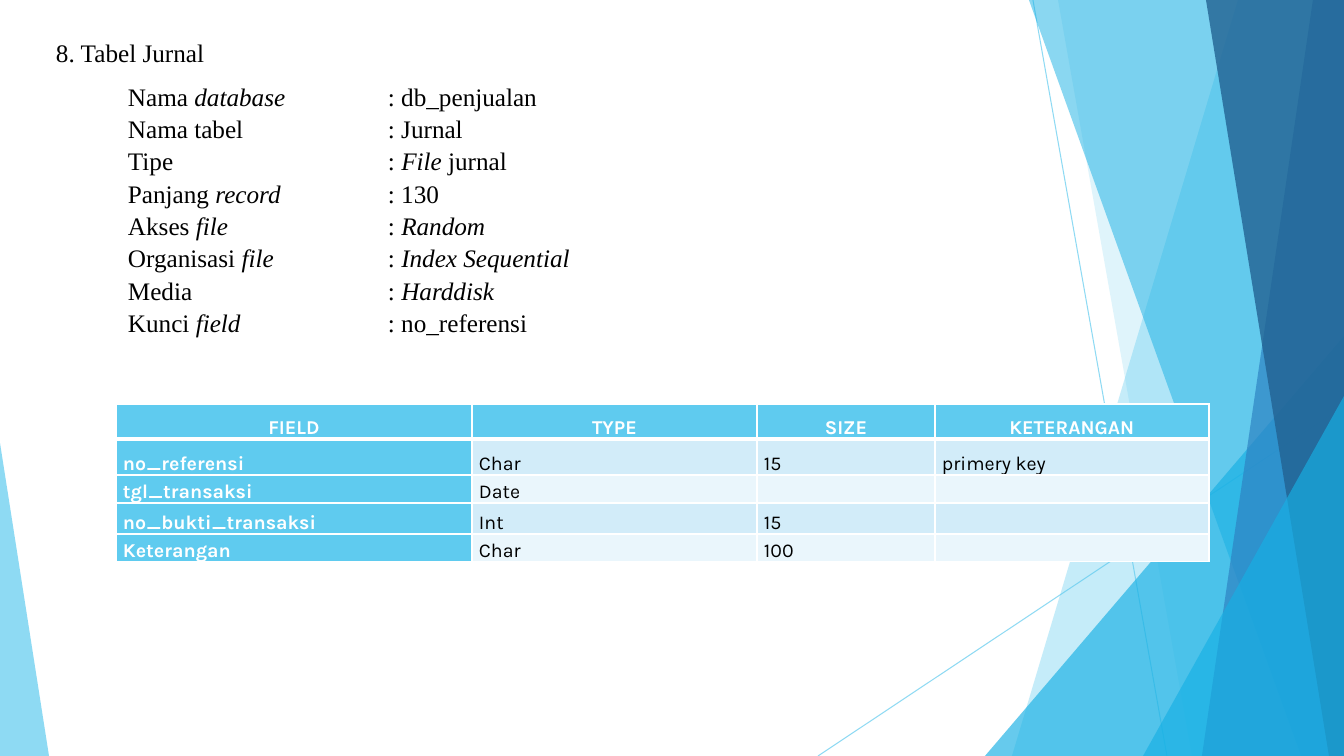
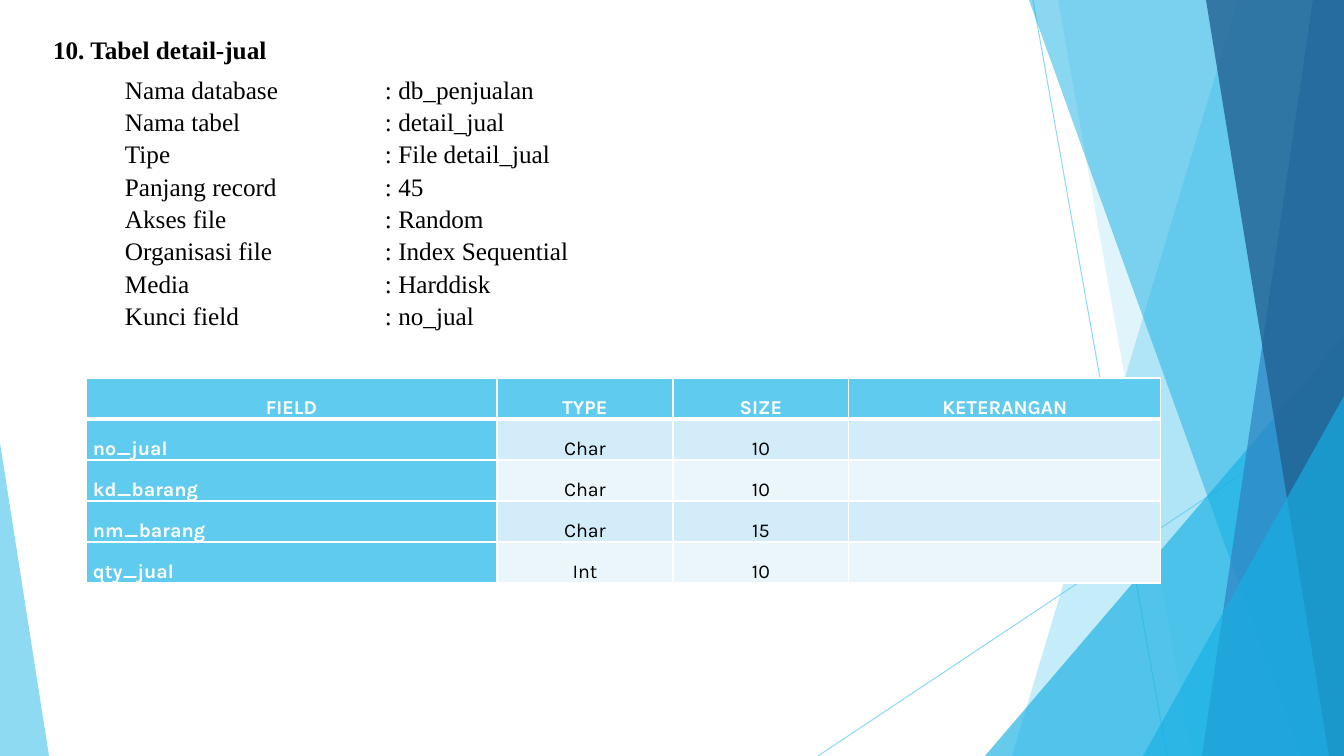
from dataclasses import dataclass

from lxml import etree
from pptx import Presentation
from pptx.dml.color import RGBColor
from pptx.enum.shapes import MSO_CONNECTOR, MSO_SHAPE
from pptx.enum.text import MSO_ANCHOR, MSO_AUTO_SIZE, PP_ALIGN
from pptx.oxml.ns import qn
from pptx.util import Emu, Pt

WIDE, HIGH = 1344, 756
SCALE = 12192000 / WIDE
LEFT, CENTER = PP_ALIGN.LEFT, PP_ALIGN.CENTER
TOP, BOTTOM = MSO_ANCHOR.TOP, MSO_ANCHOR.BOTTOM
NO_FIT = MSO_AUTO_SIZE.NONE
TRIANGLE = MSO_SHAPE.ISOSCELES_TRIANGLE
STRAIGHT = MSO_CONNECTOR.STRAIGHT
HEADS = ["FIELD", "TYPE", "SIZE", "KETERANGAN"]


@dataclass(frozen=True)
class Theme:
    """Colours, fonts and sizes of the deck."""
    sky: str = "5FCBEF"
    cyan: str = "17B0E4"
    blue: str = "2E83C3"
    navy: str = "226292"
    odd: str = "D2ECF9"
    even: str = "EAF6FC"
    white: str = "FFFFFF"
    black: str = "000000"
    serif: str = "Times New Roman"
    sans: str = "Karla"
    text: int = 18
    cell: int = 14
    pitch: float = 23.1
    lead: float = 1.07


THEME = Theme()


def px(n):
    """Turn pixels into EMU."""
    return Emu(round(n * SCALE))


def box(*sizes):
    """Turn a run of pixel lengths into EMU."""
    return [px(n) for n in sizes]


def rgb(code):
    """Make a colour from its hex code."""
    return RGBColor.from_string(code)


def style(para, name, size, color, bold=False):
    """Set the font of a whole paragraph."""
    font = para.font
    font.name, font.size, font.bold = name, Pt(size), bold
    font.color.rgb = rgb(color)


def fade(shape, alpha):
    """Give the colours of a shape an opacity in percent."""
    for clr in shape.element.iter(qn("a:srgbClr")):
        etree.SubElement(clr, qn("a:alpha"), val=str(alpha * 1000))


def paint(shape, color, alpha):
    """Fill a shape without line or shadow."""
    shape.shadow.inherit = False
    shape.fill.solid()
    shape.fill.fore_color.rgb = rgb(color)
    shape.line.fill.background()
    fade(shape, alpha)


def add_line(shapes, *ends):
    """Draw a thin line of the backdrop."""
    line = shapes.add_connector(STRAIGHT, *box(*ends))
    line.line.color.rgb = rgb(THEME.sky)
    line.line.width = Pt(0.75)
    etree.SubElement(line.element.spPr, qn("a:effectLst"))
    fade(line, 70)


def add_band(shapes, top, foot, color, alpha):
    """Draw a slanted band that reaches the right edge."""
    pen = shapes.build_freeform(top, 0, scale=SCALE)
    pen.add_line_segments([(WIDE, 0), (WIDE, HIGH), (foot, HIGH)])
    paint(pen.convert_to_shape(), color, alpha)


def add_wedge(shapes, left, top, wide, apex, color, alpha):
    """Draw a triangle that stands on the bottom edge."""
    wedge = shapes.add_shape(TRIANGLE, *box(left, top, wide, HIGH - top))
    wedge.adjustments[0] = apex
    paint(wedge, color, alpha)


def add_back(slide):
    """Draw the backdrop and hand it to the layout."""
    layout, shapes = slide.slide_layout, slide.shapes
    for hold in list(layout.placeholders)[1:]:
        layout.shapes.element.remove(hold.element)
    first = len(shapes)
    add_line(shapes, 1033, 0, 1167, HIGH)
    add_line(shapes, WIDE, 406, 818, HIGH)
    add_band(shapes, 1238, 1012, THEME.sky, 36)
    add_band(shapes, 1058, 1192, THEME.sky, 20)
    add_wedge(shapes, 985, 336, 359, 1, THEME.cyan, 66)
    add_band(shapes, 1029, 1301, THEME.cyan, 50)
    add_band(shapes, 1313, 1202, THEME.blue, 70)
    add_band(shapes, 1206, 1329, THEME.navy, 80)
    add_wedge(shapes, 1143, 396, 201, 1, THEME.cyan, 66)
    add_wedge(shapes, 0, 443, 49, 0, THEME.sky, 70)
    for shape in list(shapes)[first:]:
        layout.shapes.element.append(shape.element)


def set_frame(frame, anchor=TOP):
    """Strip the margins of a text frame."""
    frame.word_wrap, frame.auto_size = True, NO_FIT
    frame.vertical_anchor = anchor
    frame.margin_left = frame.margin_right = 0
    frame.margin_top = frame.margin_bottom = 0


def set_title(slide, text, left, top, bold):
    """Place and format the title."""
    title = slide.shapes.title
    title.left, title.top, title.width, title.height = box(left, top, 653, 31)
    set_frame(title.text_frame)
    para = title.text_frame.paragraphs[0]
    para.text, para.alignment = text, LEFT
    para.line_spacing = THEME.lead
    style(para, THEME.serif, THEME.text, THEME.black, bold)


def add_facts(slide, left, top, facts):
    """List label and value pairs; stars mark italics."""
    room = slide.shapes.add_textbox(*box(left, top, 581, 259))
    frame = room.text_frame
    set_frame(frame)
    for i, (label, value) in enumerate(facts):
        para = frame.add_paragraph() if i else frame.paragraphs[0]
        para.line_spacing = Pt(THEME.pitch)
        tabs = etree.SubElement(para._p.get_or_add_pPr(), qn("a:tabLst"))
        etree.SubElement(tabs, qn("a:tab"), pos=str(px(260)), algn="l")
        style(para, THEME.serif, THEME.text, THEME.black)
        for j, part in enumerate(f"{label}\t: {value}".split("*")):
            if part:
                run = para.add_run()
                run.text = part
                if j % 2:
                    run.font.italic = True


def edge(cell, side, width):
    """Draw one white cell border."""
    line = etree.SubElement(cell._tc.get_or_add_tcPr(), qn(f"a:ln{side}"),
                            w=str(Pt(width)))
    fill = etree.SubElement(line, qn("a:solidFill"))
    etree.SubElement(fill, qn("a:srgbClr"), val=THEME.white)


def set_cell(cell, text, row, col, align):
    """Write and format one table cell."""
    for side in "LRTB":
        thick = (row, side) in ((0, "B"), (1, "T"))
        edge(cell, side, 3 if thick else 1)
    key = row == 0 or col == 0
    cell.fill.solid()
    band = THEME.odd if row % 2 else THEME.even
    cell.fill.fore_color.rgb = rgb(THEME.sky if key else band)
    cell.vertical_anchor = BOTTOM
    cell.margin_left = cell.margin_right = px(7)
    cell.margin_top = cell.margin_bottom = 0
    para = cell.text_frame.paragraphs[0]
    if text:
        para.text = text
    para.line_spacing = THEME.lead
    para.alignment = CENTER if row == 0 else LEFT if col == 0 else align
    style(para, THEME.sans, THEME.cell,
          THEME.white if key else THEME.black, key)


def add_grid(slide, left, top, cols, rows, data, align):
    """Add the field table."""
    size = box(left, top, sum(cols), sum(rows))
    table = slide.shapes.add_table(len(rows), len(cols), *size).table
    table.horz_banding = False
    for col, wide in zip(table.columns, cols):
        col.width = px(wide)
    for row, high in zip(table.rows, rows):
        row.height = px(high)
    for i, line in enumerate([HEADS] + data):
        for j, text in enumerate(line):
            set_cell(table.cell(i, j), text, i, j, align)


def main():
    """Build both slides and save them."""
    deck = Presentation()
    deck.slide_width, deck.slide_height = box(WIDE, HIGH)
    layout = deck.slide_layouts[5]

    slide = deck.slides.add_slide(layout)
    add_back(slide)
    set_title(slide, "8. Tabel Jurnal", 56, 35, False)
    add_facts(slide, 128, 79, [
        ("Nama *database*", "db_penjualan"),
        ("Nama tabel", "Jurnal"),
        ("Tipe", "*File* jurnal"),
        ("Panjang *record*", "130"),
        ("Akses *file*", "*Random*"),
        ("Organisasi *file*", "*Index Sequential*"),
        ("Media", "*Harddisk*"),
        ("Kunci *field*", "no_referensi"),
    ])
    add_grid(slide, 116, 404, [356, 285, 178, 274], [35, 36, 28, 31, 28], [
        ["no_referensi", "Char", "15", "primery key"],
        ["tgl_transaksi", "Date", "", ""],
        ["no_bukti_transaksi", "Int", "15", ""],
        ["Keterangan", "Char", "100", ""],
    ], LEFT)

    slide = deck.slides.add_slide(layout)
    set_title(slide, "10. Tabel detail-jual", 53, 32, True)
    add_facts(slide, 125, 72, [
        ("Nama database", "db_penjualan"),
        ("Nama tabel", "detail_jual"),
        ("Tipe", "File detail_jual"),
        ("Panjang record", "45"),
        ("Akses file", "Random"),
        ("Organisasi file", "Index Sequential"),
        ("Media", "Harddisk"),
        ("Kunci field", "no_jual"),
    ])
    add_grid(slide, 86, 378, [411, 176, 176, 312], [41] * 5, [
        ["no_jual", "Char", "10", ""],
        ["kd_barang", "Char", "10", ""],
        ["nm_barang", "Char", "15", ""],
        ["qty_jual", "Int", "10", ""],
    ], CENTER)

    deck.save("out.pptx")


if __name__ == "__main__":
    main()
